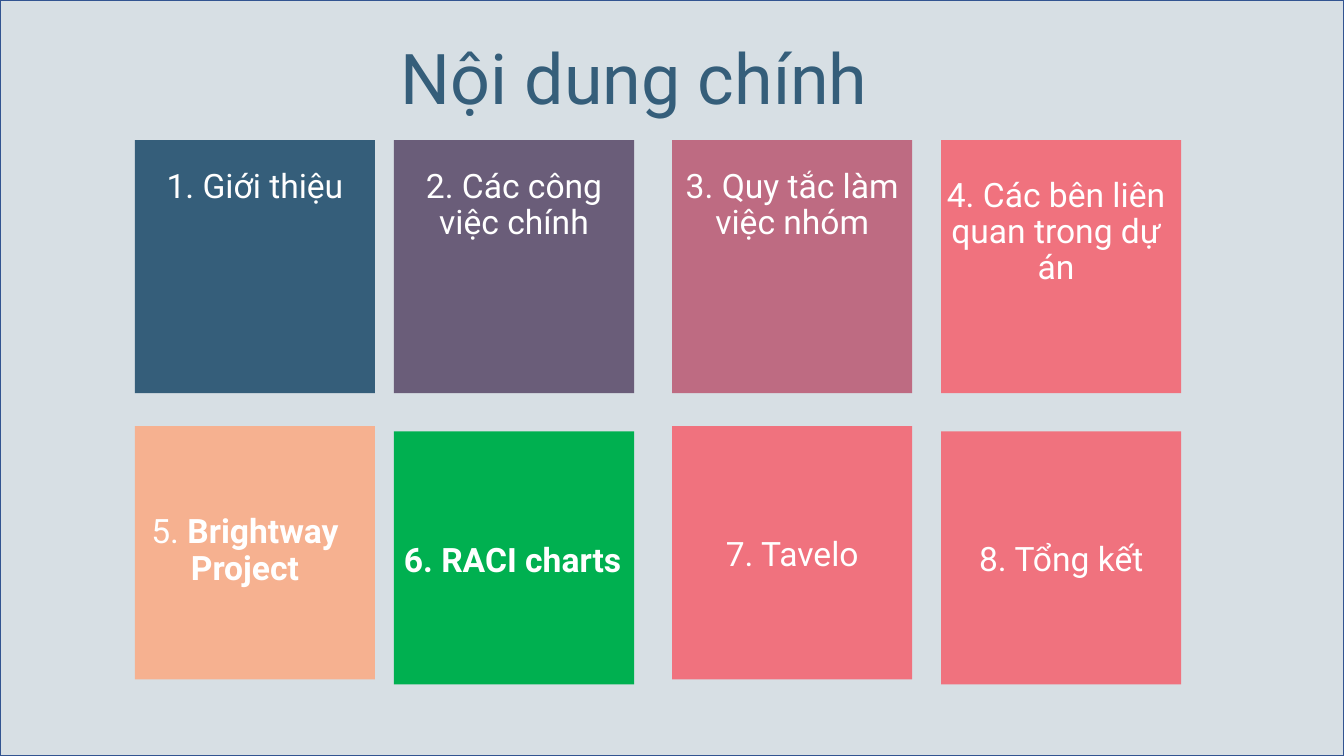
import pptx
import pptx.dml.color
import pptx.enum.shapes
import pptx.enum.text
import pptx.util

Cm = pptx.util.Cm
CENTER = pptx.enum.text.PP_ALIGN.CENTER
LEFT = pptx.enum.text.PP_ALIGN.LEFT
MIDDLE = pptx.enum.text.MSO_ANCHOR.MIDDLE
RECTANGLE = pptx.enum.shapes.MSO_SHAPE.RECTANGLE


def paint(colour_format, hex_colour):
    colour_format.rgb = pptx.dml.color.RGBColor.from_string(hex_colour)


def write(frame, runs, size, colour, paragraph_format):
    """Fill a text frame with one paragraph of (text, bold) runs."""
    frame.word_wrap = True
    paragraph = frame.paragraphs[0]
    for name, value in paragraph_format.items():
        setattr(paragraph, name, value)
    for words, bold in runs:
        run = paragraph.add_run()
        run.text = words
        font_format = {"name": "Roboto", "size": pptx.util.Pt(size), "bold": bold}
        for name, value in font_format.items():
            setattr(run.font, name, value)
        paint(run.font.color, colour)


deck = pptx.Presentation()
deck.slide_width, deck.slide_height = Cm(33.87), Cm(19.05)
agenda = deck.slides.add_slide(deck.slide_layouts[5])

# Heading
heading = agenda.shapes.title
heading_place = {"left": Cm(2.18), "top": Cm(0.69), "width": Cm(27.61), "height": Cm(2.49)}
for name, value in heading_place.items():
    setattr(heading, name, value)
heading.text_frame.vertical_anchor = MIDDLE
write(heading.text_frame, [("Nội dung chính", False)], 50, "355E7A", {"alignment": CENTER})

# Backdrop, placed behind the heading
backdrop = agenda.shapes.add_shape(RECTANGLE, 0, 0, deck.slide_width, deck.slide_height)
backdrop.shadow.inherit = False
backdrop.fill.solid()
paint(backdrop.fill.fore_color, "D7DFE4")
paint(backdrop.line.color, "325491")
backdrop.line.width = pptx.util.Pt(1)
heading._element.addprevious(backdrop._element)

# Topic tiles: four columns, two rows
COLUMN_LEFTS = [3.4, 9.93, 16.94, 23.72]
TILE_WIDTH, TILE_HEIGHT = 6.05, 6.38
UPPER, LOWER, LOWEST = 3.53, 10.74, 10.87

# Top of tile, colour, runs, and the label's shift from the tile
# (None where the words sit in the tile itself)
topics = [
    (UPPER, "355E7A", [("1. Giới thiệu", False)], (0, 0.61)),
    (UPPER, "6A5D79", [("2. Các công việc chính", False)], (0, 0.61)),
    (UPPER, "BE6B82", [("3. Quy tắc làm việc nhóm", False)], (0, 0.61)),
    (UPPER, "F0727E", [("4. Các bên liên quan trong dự án", False)], (-0.13, 0.84)),
    (LOWER, "F6B190", [("5. ", False), ("Brightway Project", True)], (-0.25, 2.11)),
    (LOWEST, "00B050", [("6. RACI charts", True)], None),
    (LOWER, "F0727E", [("7. Tavelo", False)], None),
    (LOWEST, "F0727E", [("8. Tổng kết", False)], None),
]
label_format = {"alignment": CENTER, "line_spacing": 0.9, "space_before": pptx.util.Pt(10)}
raci_format = {"alignment": LEFT, "line_spacing": 1.07, "space_after": pptx.util.Pt(8)}

for index, (top, colour, runs, label_shift) in enumerate(topics):
    left = COLUMN_LEFTS[index % 4]
    tile = agenda.shapes.add_shape(
        RECTANGLE, Cm(left), Cm(top), Cm(TILE_WIDTH), Cm(TILE_HEIGHT))
    tile.shadow.inherit = False
    tile.fill.solid()
    paint(tile.fill.fore_color, colour)
    tile.line.fill.background()
    if label_shift:
        across, down = label_shift
        label = agenda.shapes.add_textbox(
            Cm(left + across), Cm(top + down), Cm(TILE_WIDTH), Cm(0.97))
        write(label.text_frame, runs, 24, "FFFFFF", label_format)
    else:
        tile.text_frame.vertical_anchor = MIDDLE
        tile_format = raci_format if colour == "00B050" else {"alignment": CENTER}
        write(tile.text_frame, runs, 24, "FFFFFF", tile_format)

deck.save("out.pptx")
